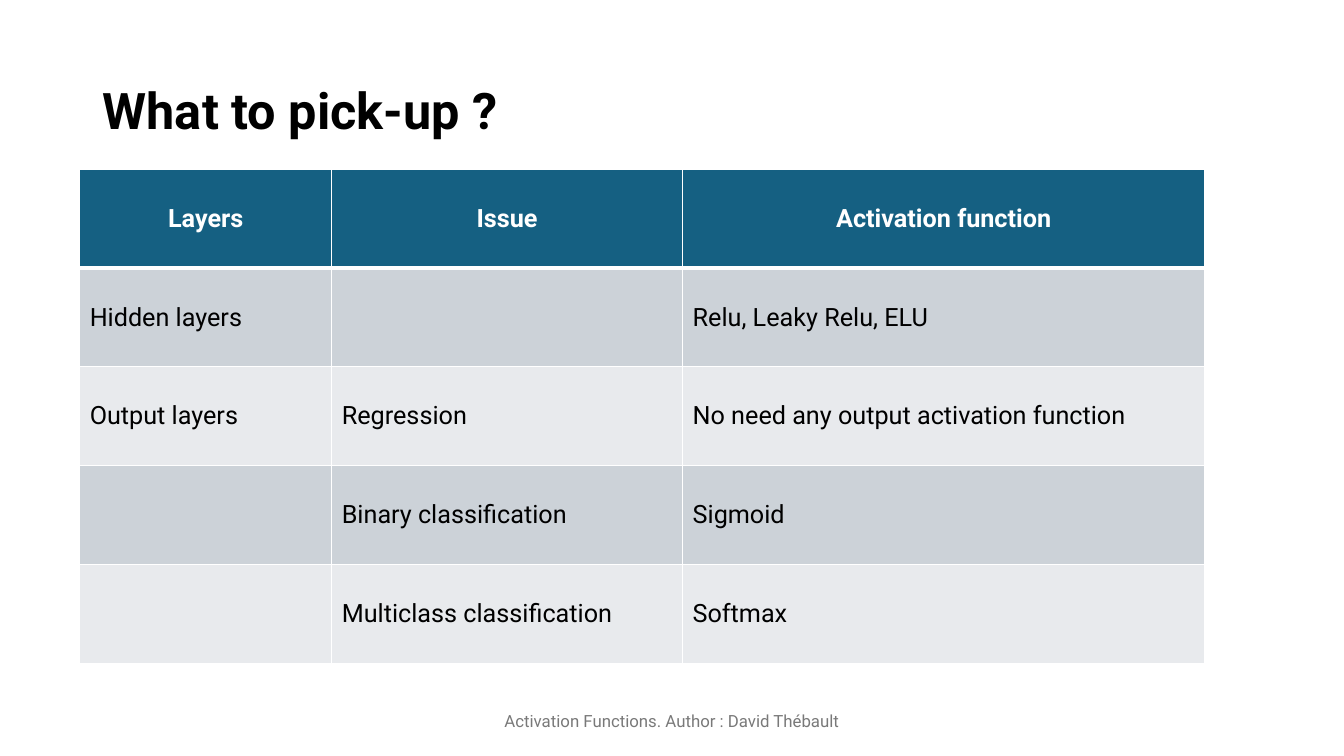
"""Build a slide that maps layer types to activation functions."""
import pptx
import pptx.util
import pptx.oxml
import pptx.oxml.ns
import pptx.dml.color
import pptx.enum.text

TITLE = "What to pick-up ?"
FOOTER = "Activation Functions. Author : David Thébault"
ROWS = [
    ("Layers", "Issue", "Activation function"),
    ("Hidden layers", "", "Relu, Leaky Relu, ELU"),
    ("Output layers", "Regression", "No need any output activation function"),
    ("", "Binary classification", "Sigmoid"),
    ("", "Multiclass classification", "Softmax"),
]
COLS = (2.5, 3.48, 5.18)
ROW = 0.98
WIDE, HIGH = 13.33, 7.5
FONT = "Roboto"
HUES = {"head": "156082", "odd": "CCD2D8", "even": "E8EAED",
        "white": "FFFFFF", "black": "000000", "grey": "797979"}

inch = pptx.util.Inches
ALIGN = pptx.enum.text.PP_ALIGN
MIDDLE = pptx.enum.text.MSO_ANCHOR.MIDDLE


def color(name):
    return pptx.dml.color.RGBColor.from_string(HUES[name])


def write(para, text, size, hue, bold=False, align=ALIGN.LEFT):
    para.alignment = align
    run = para.add_run()
    run.text = text
    run.font.name = FONT
    run.font.size = pptx.util.Pt(size)
    run.font.bold = bold
    run.font.color.rgb = color(hue)


def label(slide, area, text, **style):
    frame = slide.shapes.add_textbox(*map(inch, area)).text_frame
    frame.word_wrap = True
    frame.vertical_anchor = MIDDLE
    write(frame.paragraphs[0], text, **style)
    return frame


def border(cell, side, width):
    cell._tc.get_or_add_tcPr().append(pptx.oxml.parse_xml(
        f'<a:ln{side} {pptx.oxml.ns.nsdecls("a")} w="{pptx.util.Pt(width)}">'
        f'<a:solidFill><a:srgbClr val="{HUES["white"]}"/></a:solidFill>'
        f'</a:ln{side}>'))


def fill_table(slide):
    area = (0.79, 1.68, sum(COLS), ROW * len(ROWS))
    table = slide.shapes.add_table(
        len(ROWS), len(COLS), *map(inch, area)).table
    for col, width in zip(table.columns, COLS):
        col.width = inch(width)
    for r, texts in enumerate(ROWS):
        table.rows[r].height = inch(ROW)
        head = r == 0
        for c, text in enumerate(texts):
            cell = table.cell(r, c)
            cell.vertical_anchor = MIDDLE
            for side in "LRTB":
                thick = (head and side == "B") or (r == 1 and side == "T")
                border(cell, side, 3 if thick else 1)
            cell.fill.solid()
            cell.fill.fore_color.rgb = color(
                "head" if head else "odd" if r % 2 else "even")
            if text:
                write(cell.text_frame.paragraphs[0], text, 18,
                      "white" if head else "black", head,
                      ALIGN.CENTER if head else ALIGN.LEFT)


def main():
    deck = pptx.Presentation()
    deck.slide_width, deck.slide_height = inch(WIDE), inch(HIGH)
    slide = deck.slides.add_slide(deck.slide_layouts[6])
    title = label(slide, (0.92, 0.4, 11.5, 1.45), TITLE,
                  size=36, hue="black", bold=True)
    title.paragraphs[0].line_spacing = 0.9
    label(slide, ((WIDE - 4.5) / 2, 6.95, 4.5, 0.4), FOOTER,
          size=12, hue="grey", align=ALIGN.CENTER)
    fill_table(slide)
    deck.save("out.pptx")


if __name__ == "__main__":
    main()
